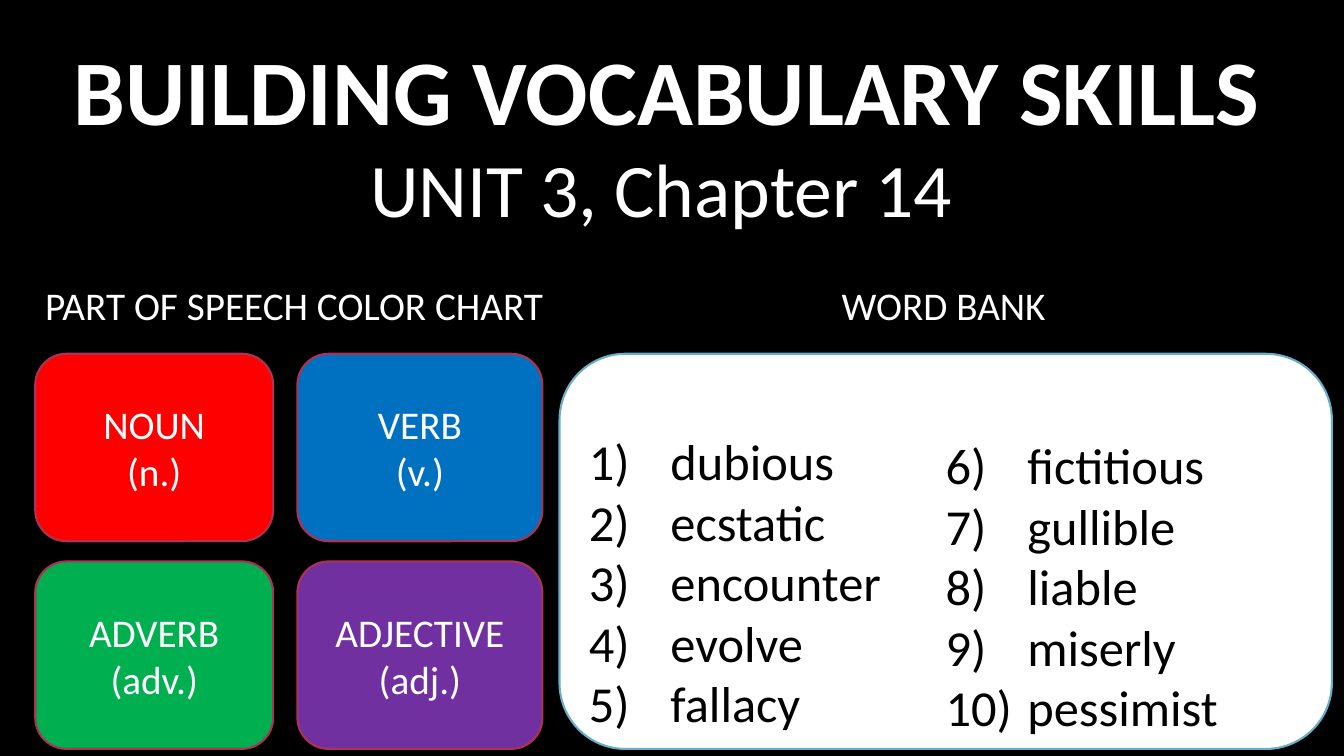
from lxml import etree
from pptx import Presentation
from pptx.dml.color import RGBColor
from pptx.enum.shapes import MSO_SHAPE as Shape
from pptx.enum.text import MSO_ANCHOR as Anchor, PP_ALIGN as Align
from pptx.oxml.ns import qn
from pptx.util import Inches, Pt

FONT = "Calibri"
WHITE, BLACK = "FFFFFF", "000000"
CARD_LINE, BANK_LINE = "AC3356", "6AADC8"
ROW_TOPS = (3.51, 5.57)
CARD_COLUMNS = ((0.35, 2.36), (2.95, 2.43))
CARD_HEIGHT = 1.86
PARTS_OF_SPEECH = (
    ("NOUN\n(n.)", "FF0000"),
    ("VERB\n(v.)", "0070C0"),
    ("ADVERB\n(adv.)", "00B050"),
    ("ADJECTIVE\n(adj.)", "7030A0"),
)
WORD_COLUMNS = (
    (5.84, 4.27, 1, "dubious\necstatic\nencounter\nevolve\nfallacy"),
    (9.38, 4.31, 6, "fictitious\ngullible\nliable\nmiserly\npessimist"),
)


def rgb(color):
    return RGBColor.from_string(color)


def write(frame, text, size, color=WHITE, bold=False, align=Align.CENTER):
    frame.text = text
    for paragraph in frame.paragraphs:
        paragraph.alignment = align
        for run in paragraph.runs:
            run.font.name = FONT
            run.font.size = Pt(size)
            run.font.bold = bold
            run.font.color.rgb = rgb(color)


def add_label(slide, box, text, size, wrap=True, **style):
    frame = slide.shapes.add_textbox(*map(Inches, box)).text_frame
    frame.word_wrap = wrap
    frame.vertical_anchor = Anchor.MIDDLE
    write(frame, text, size, **style)


def add_panel(slide, box, fill, line):
    panel = slide.shapes.add_shape(Shape.ROUNDED_RECTANGLE, *map(Inches, box))
    panel.shadow.inherit = False
    panel.fill.solid()
    panel.fill.fore_color.rgb = rgb(fill)
    panel.line.color.rgb = rgb(line)
    panel.line.width = Pt(1.5)
    return panel


def add_card(slide, box, text, fill):
    frame = add_panel(slide, box, fill, CARD_LINE).text_frame
    frame.word_wrap = True
    frame.vertical_anchor = Anchor.MIDDLE
    write(frame, text, 28)


def number_paragraph(paragraph, start):
    """Number a paragraph as 1), 2), ... with a hanging indent."""
    properties = paragraph._p.get_or_add_pPr()
    properties.set("marL", str(Inches(0.81)))
    properties.set("indent", str(-Inches(0.81)))
    bullet_font = etree.SubElement(properties, qn("a:buFont"))
    bullet_font.set("typeface", "+mj-lt")
    numbering = etree.SubElement(properties, qn("a:buAutoNum"))
    numbering.set("type", "arabicParenR")
    numbering.set("startAt", str(start))


def add_word_column(slide, left, top, start, words):
    box = map(Inches, (left, top, 3.3, 3.05))
    frame = slide.shapes.add_textbox(*box).text_frame
    frame.word_wrap = True
    frame.margin_left = frame.margin_right = 0
    frame.margin_top = frame.margin_bottom = 0
    write(frame, words, 36, BLACK, align=Align.LEFT)
    for paragraph in frame.paragraphs:
        number_paragraph(paragraph, start)


def main():
    deck = Presentation()
    deck.slide_width, deck.slide_height = Inches(13.33), Inches(7.5)
    slide = deck.slides.add_slide(deck.slide_layouts[6])
    slide.background.fill.solid()
    slide.background.fill.fore_color.rgb = rgb(BLACK)

    add_label(slide, (0.35, 0.51, 12.54, 0.73),
              "BUILDING VOCABULARY SKILLS", 66, bold=True)
    add_label(slide, (3.49, 1.44, 6.14, 0.83), "UNIT 3, Chapter 14", 54)

    for index, (text, fill) in enumerate(PARTS_OF_SPEECH):
        row, column = divmod(index, 2)
        left, width = CARD_COLUMNS[column]
        add_card(slide, (left, ROW_TOPS[row], width, CARD_HEIGHT), text, fill)

    add_label(slide, (0.35, 2.74, 5.2, 0.57), "PART OF SPEECH COLOR CHART", 28,
              wrap=False, align=Align.LEFT)
    add_label(slide, (8.25, 2.74, 2.25, 0.57), "WORD BANK", 28,
              wrap=False, align=Align.LEFT)

    add_panel(slide, (5.55, ROW_TOPS[0], 7.66, 3.92), WHITE, BANK_LINE)
    for word_column in WORD_COLUMNS:
        add_word_column(slide, *word_column)

    deck.save("out.pptx")


if __name__ == "__main__":
    main()
